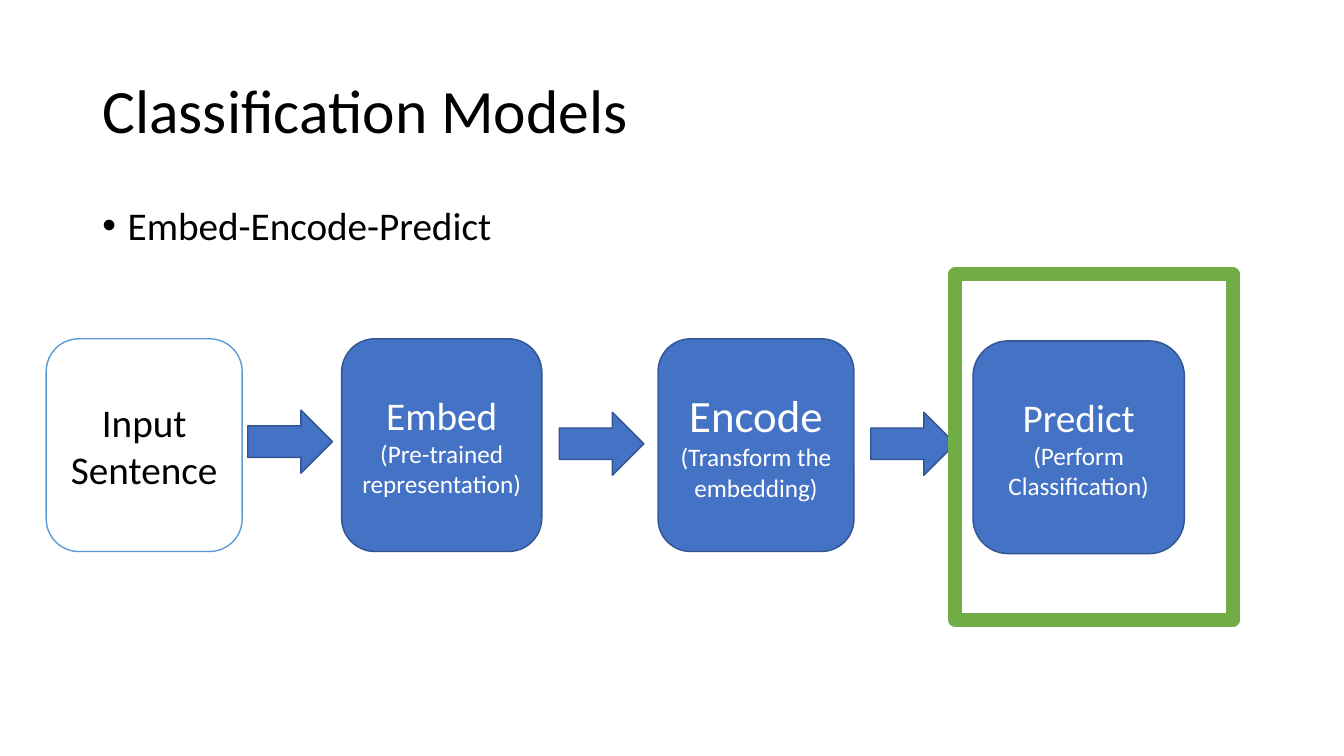
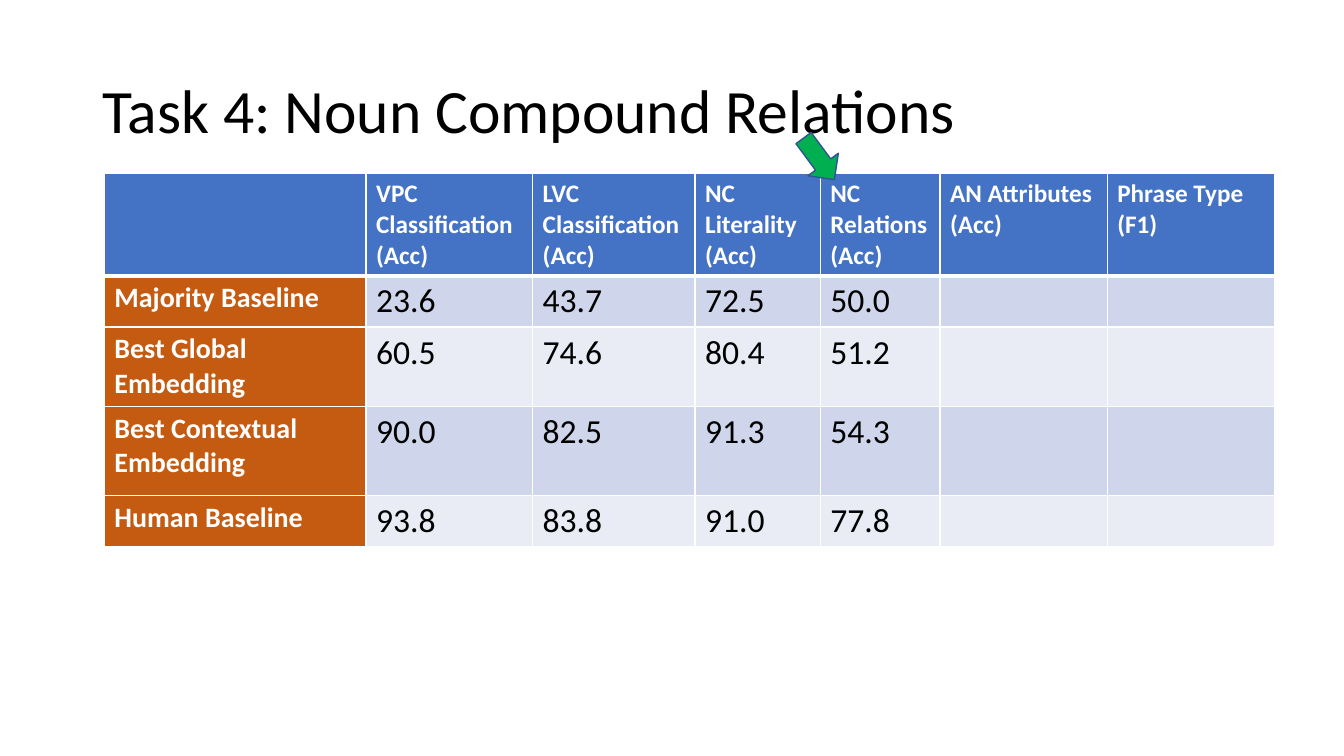
import pptx
import pptx.dml.color
import pptx.enum.shapes
import pptx.enum.text
import pptx.oxml.ns
import pptx.util
from lxml import etree

Pt = pptx.util.Pt
SHAPES = pptx.enum.shapes.MSO_SHAPE
ALIGN = pptx.enum.text.PP_ALIGN
ANCHOR = pptx.enum.text.MSO_ANCHOR

FONT = "Calibri"
BLACK, WHITE = "000000", "FFFFFF"
BLUE, NAVY, SKY = "4472C4", "325491", "5B9BD5"
ORANGE, LIME, GREEN = "C55A11", "70AD47", "00B050"
BANDS = ["CFD5EA", "E9EBF5"]

TITLE_BOX = (66, 29, 828, 104)
BULLET_BOX = (66, 144, 828, 45)
PIPELINE_BOX = (33, 242, 813, 152)
FRAME_BOX = (682.5, 196, 198, 247)
TABLE_BOX = (74.5, 124, 836, 266.5)
POINTER_BOX = (566.5, 100, 37, 27)

STAGES = [
    (0, 0, 140, 28, ["Input Sentence"]),
    (211, 0, 143, 28, ["Embed", "(Pre-trained representation)"]),
    (437, 0, 140, 32, ["Encode", "(Transform the embedding)"]),
    (662, 1.5, 151, 28, ["Predict", "(Perform Classification)"]),
]
ARROWS = [(144, 51), (366.5, 52.5), (589, 52.5)]

HEADERS = ["", "VPC Classification (Acc)", "LVC Classification (Acc)",
           "NC Literality (Acc)", "NC Relations (Acc)",
           "AN Attributes (Acc)", "Phrase Type (F1)"]
SCORES = [
    ["Majority Baseline", "23.6", "43.7", "72.5", "50.0", "", ""],
    ["Best Global Embedding", "60.5", "74.6", "80.4", "51.2", "", ""],
    ["Best Contextual Embedding", "90.0", "82.5", "91.3", "54.3", "", ""],
    ["Human Baseline", "93.8", "83.8", "91.0", "77.8", "", ""],
]
COLUMN_WIDTHS = [187, 119, 116, 89.5, 85.5, 119.5, 119.5]
ROW_HEIGHTS = [73, 36.5, 57, 63.5, 36.5]


def paint(fill, colour):
    fill.solid()
    fill.fore_color.rgb = pptx.dml.color.RGBColor.from_string(colour)


def points(box):
    return [Pt(length) for length in box]


def write(paragraph, text, size, colour, bold=False):
    run = paragraph.add_run()
    run.text = text
    run.font.name = FONT
    run.font.size = Pt(size)
    run.font.bold = bold
    paint(run.font.fill, colour)


def place(placeholder, box, anchor):
    placeholder.left, placeholder.top, placeholder.width, placeholder.height = points(box)
    frame = placeholder.text_frame
    frame.auto_size = pptx.enum.text.MSO_AUTO_SIZE.NONE
    frame.vertical_anchor = anchor
    paragraph = frame.paragraphs[0]
    paragraph.alignment = ALIGN.LEFT
    paragraph.line_spacing = 0.9
    paragraph.space_before = Pt(0)
    return paragraph


def add_title(slide, text):
    write(place(slide.shapes.title, TITLE_BOX, ANCHOR.MIDDLE), text, 44, BLACK)


def add_bullet(slide, box, text):
    paragraph = place(slide.placeholders[1], box, ANCHOR.TOP)
    properties = paragraph._p.get_or_add_pPr()
    properties.set("marL", str(Pt(18)))
    properties.set("indent", str(-Pt(18)))
    etree.SubElement(properties, pptx.oxml.ns.qn("a:buFont"), typeface="Arial")
    etree.SubElement(properties, pptx.oxml.ns.qn("a:buChar"), char="•")
    write(paragraph, text, 28, BLACK)


def add_figure(slide, kind, box, fill, line, line_width=1):
    figure = slide.shapes.add_shape(kind, *points(box))
    figure.shadow.inherit = False
    if fill:
        paint(figure.fill, fill)
    else:
        figure.fill.background()
    paint(figure.line.fill, line)
    figure.line.width = Pt(line_width)
    return figure


def add_stage(slide, box, lines, size, fill, line, ink):
    stage = add_figure(slide, SHAPES.ROUNDED_RECTANGLE, box, fill, line)
    frame = stage.text_frame
    frame.word_wrap = True
    frame.vertical_anchor = ANCHOR.MIDDLE
    for index, text in enumerate(lines):
        paragraph = frame.add_paragraph() if index else frame.paragraphs[0]
        paragraph.alignment = ALIGN.CENTER
        write(paragraph, text, 18 if index else size, ink)


def add_pipeline(slide, box):
    left, top, _, height = box
    for index, (x, y, width, size, lines) in enumerate(STAGES):
        colours = (BLUE, NAVY, WHITE) if index else (WHITE, SKY, BLACK)
        add_stage(slide, (left + x, top + y, width, height), lines, size, *colours)
    for x, y in ARROWS:
        add_figure(slide, SHAPES.RIGHT_ARROW, (left + x, top + y, 60.5, 45), BLUE, NAVY)


def add_borders(cell, top, bottom):
    properties = cell._tc.get_or_add_tcPr()
    for side, width in (("L", 1), ("R", 1), ("T", top), ("B", bottom)):
        border = etree.SubElement(properties, pptx.oxml.ns.qn("a:ln" + side), w=str(Pt(width)))
        fill = etree.SubElement(border, pptx.oxml.ns.qn("a:solidFill"))
        etree.SubElement(fill, pptx.oxml.ns.qn("a:srgbClr"), val=WHITE)


def cell_style(row, column):
    if row == 0:
        return BLUE, 18, WHITE, True
    if column == 0:
        return ORANGE, 20, WHITE, True
    return BANDS[(row - 1) % 2], 24, BLACK, False


def add_scores(slide, box):
    rows = [HEADERS] + SCORES
    table = slide.shapes.add_table(len(rows), len(HEADERS), *points(box)).table
    table.horz_banding = False
    for column, width in zip(table.columns, COLUMN_WIDTHS):
        column.width = Pt(width)
    for row, height in zip(table.rows, ROW_HEIGHTS):
        row.height = Pt(height)
    for r, texts in enumerate(rows):
        for c, text in enumerate(texts):
            cell = table.cell(r, c)
            fill, size, ink, bold = cell_style(r, c)
            add_borders(cell, 3 if r == 1 else 1, 3 if r == 0 else 1)
            paint(cell.fill, fill)
            if text:
                write(cell.text_frame.paragraphs[0], text, size, ink, bold)


def build_models(deck):
    slide = deck.slides.add_slide(deck.slide_layouts[1])
    add_title(slide, "Classification Models")
    add_bullet(slide, BULLET_BOX, "Embed-Encode-Predict")
    add_pipeline(slide, PIPELINE_BOX)
    add_figure(slide, SHAPES.RECTANGLE, FRAME_BOX, None, LIME, 10)


def build_relations(deck):
    slide = deck.slides.add_slide(deck.slide_layouts[5])
    add_title(slide, "Task 4: Noun Compound Relations")
    add_scores(slide, TABLE_BOX)
    pointer = add_figure(slide, SHAPES.LEFT_ARROW, POINTER_BOX, GREEN, NAVY)
    pointer.rotation = 233.5


def main():
    deck = pptx.Presentation()
    deck.slide_width, deck.slide_height = Pt(960), Pt(540)
    build_models(deck)
    build_relations(deck)
    deck.save("out.pptx")


if __name__ == "__main__":
    main()
